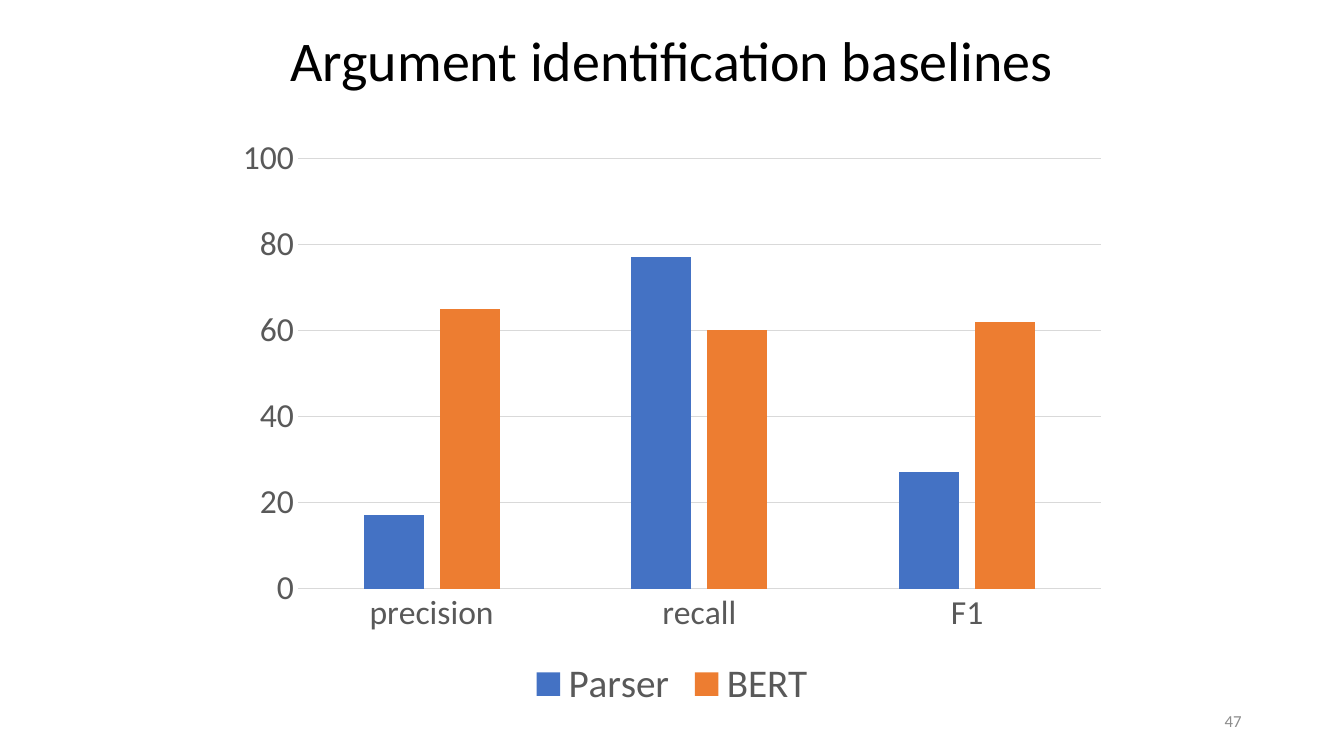
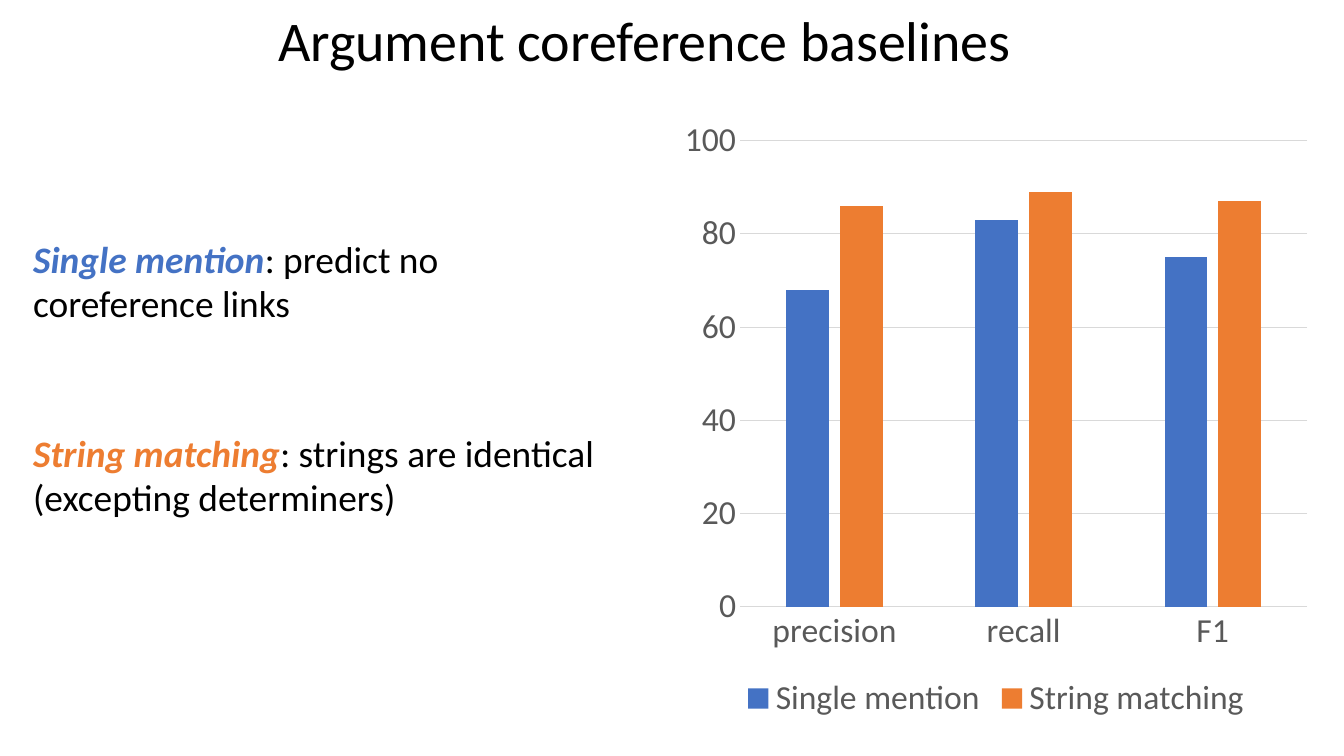
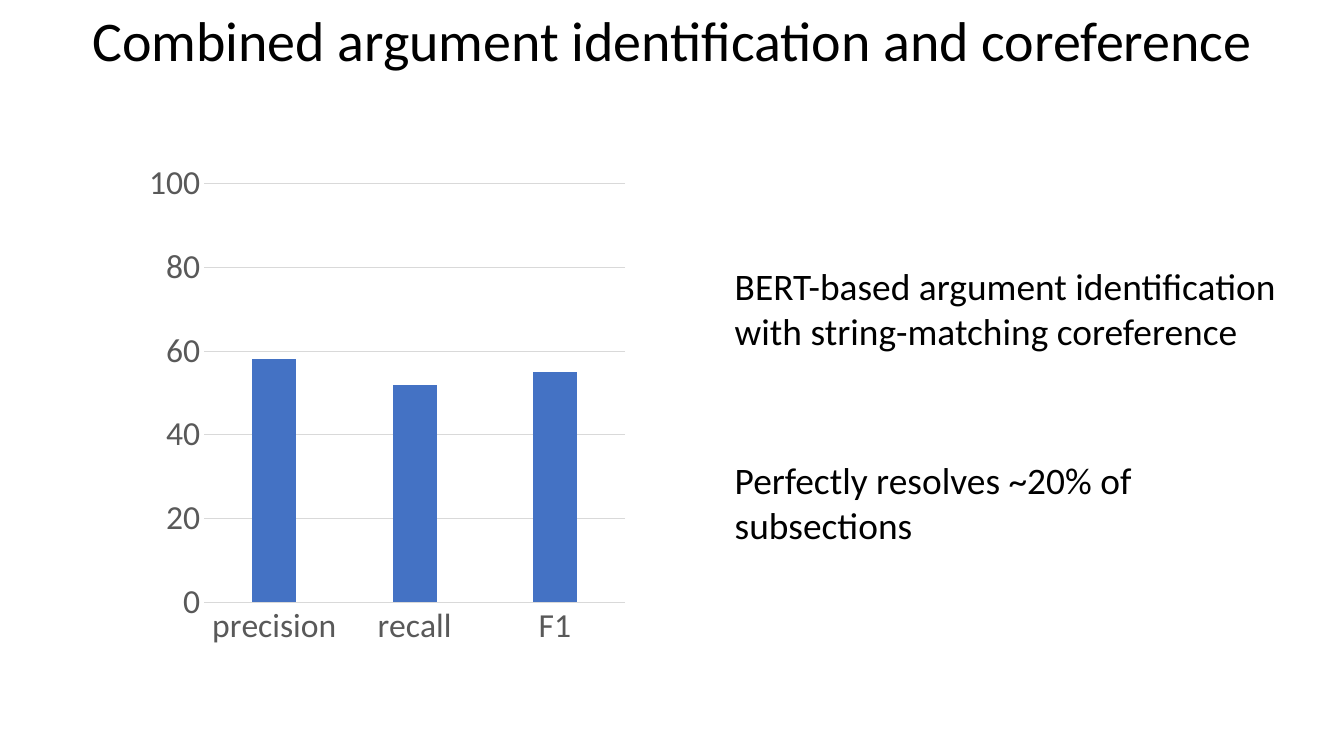
from dataclasses import dataclass

from pptx import Presentation
from pptx.chart.data import CategoryChartData
from pptx.dml.color import RGBColor
from pptx.enum.chart import XL_CHART_TYPE, XL_LEGEND_POSITION, XL_TICK_MARK
from pptx.enum.text import MSO_ANCHOR, MSO_AUTO_SIZE, PP_ALIGN
from pptx.util import Pt

LEFT, CENTER, RIGHT = PP_ALIGN.LEFT, PP_ALIGN.CENTER, PP_ALIGN.RIGHT
TOP, MIDDLE = MSO_ANCHOR.TOP, MSO_ANCHOR.MIDDLE
NO_FIT = MSO_AUTO_SIZE.NONE
COLUMNS = XL_CHART_TYPE.COLUMN_CLUSTERED
BOTTOM = XL_LEGEND_POSITION.BOTTOM
NO_TICK = XL_TICK_MARK.NONE
TITLE_ONLY = 5


@dataclass(frozen=True)
class Theme:
    font: str = "Calibri"
    text: str = "000000"
    label: str = "595959"
    grid: str = "D9D9D9"
    number: str = "8C8C8C"
    blue: str = "4472C4"
    orange: str = "ED7D31"
    title_size: float = 40
    body_size: float = 26.7
    axis_size: float = 24
    legend_size: float = 28
    number_size: float = 12
    chart_size: float = 10
    body_gap: float = 74.5


THEME = Theme()
METRICS = ("precision", "recall", "F1")


def set_font(font, size, color, **values):
    values = {"name": THEME.font, "size": Pt(size), **values}
    for key, value in values.items():
        setattr(font, key, value)
    font.color.rgb = RGBColor.from_string(color)


class Deck:
    """Holds the presentation, its style and the current slide."""

    def __init__(self, width, height):
        self.prs = Presentation()
        self.prs.slide_width, self.prs.slide_height = Pt(width), Pt(height)
        self.s = None

    def frame(self, sp, anchor, inset=(7.2, 3.6)):
        tf = sp.text_frame
        x, y = (Pt(v) for v in inset)
        values = {"word_wrap": True, "auto_size": NO_FIT,
                  "vertical_anchor": anchor, "margin_left": x,
                  "margin_right": x, "margin_top": y, "margin_bottom": y}
        for key, value in values.items():
            setattr(tf, key, value)
        return tf

    def slide(self, title, box, align=CENTER):
        self.s = self.prs.slides.add_slide(self.prs.slide_layouts[TITLE_ONLY])
        sp = self.s.shapes.title
        sp.left, sp.top, sp.width, sp.height = (Pt(v) for v in box)
        p = self.frame(sp, TOP).paragraphs[0]
        p.alignment = align
        r = p.add_run()
        r.text = title
        set_font(r.font, THEME.title_size, THEME.text)

    def text(self, box, paragraphs, anchor=TOP, inset=(7.2, 3.6)):
        """Each paragraph is a (coloured term, its colour, plain text) triple."""
        sp = self.s.shapes.add_textbox(*(Pt(v) for v in box))
        tf = self.frame(sp, anchor, inset)
        for i, (term, color, plain) in enumerate(paragraphs):
            p = tf.add_paragraph() if i else tf.paragraphs[0]
            if i:
                p.space_before = Pt(THEME.body_gap)
            if term:
                r = p.add_run()
                r.text = term
                set_font(r.font, THEME.body_size, color, bold=True, italic=True)
            r = p.add_run()
            r.text = plain
            set_font(r.font, THEME.body_size, THEME.text)

    def number(self, value):
        sp = self.s.shapes.add_textbox(Pt(678), Pt(500.4), Pt(216), Pt(28.8))
        p = self.frame(sp, MIDDLE).paragraphs[0]
        p.alignment = RIGHT
        r = p.add_run()
        r.text = value
        set_font(r.font, THEME.number_size, THEME.number)

    def rule(self, line):
        line.color.rgb = RGBColor.from_string(THEME.grid)
        line.width = Pt(0.75)

    def chart(self, box, series, legend_size=None):
        data = CategoryChartData(number_format="0")
        data.categories = METRICS
        for name, values in series.items():
            data.add_series(name, values)
        chart = self.s.shapes.add_chart(
            COLUMNS, *(Pt(v) for v in box), data).chart
        chart.has_title = False
        set_font(chart.font, THEME.chart_size, THEME.text)

        # Bars
        plot = chart.plots[0]
        plot.gap_width, plot.overlap = 219, -27
        plot.vary_by_categories = False
        for bars, color in zip(plot.series, (THEME.blue, THEME.orange)):
            bars.format.fill.solid()
            bars.format.fill.fore_color.rgb = RGBColor.from_string(color)

        # Axes
        for axis in (chart.category_axis, chart.value_axis):
            axis.major_tick_mark = axis.minor_tick_mark = NO_TICK
            set_font(axis.tick_labels.font, THEME.axis_size, THEME.label)
        self.rule(chart.category_axis.format.line)
        axis = chart.value_axis
        axis.minimum_scale, axis.maximum_scale, axis.major_unit = 0, 100, 20
        axis.format.line.fill.background()
        self.rule(axis.major_gridlines.format.line)

        # Legend
        chart.has_legend = legend_size is not None
        if chart.has_legend:
            chart.legend.position = BOTTOM
            chart.legend.include_in_layout = False
            set_font(chart.legend.font, legend_size, THEME.label)


def main():
    deck = Deck(960, 540)

    # Argument identification
    deck.slide("Argument identification baselines", (184.3, 14.4, 591, 55.4))
    deck.number("47")
    deck.chart((160.6, 90, 638.6, 421.2),
               {"Parser": (17, 77, 27), "BERT": (65, 60, 62)},
               THEME.legend_size)

    # Argument coreference
    deck.slide("Argument coreference baselines", (191.5, 0, 576.7, 55.4), LEFT)
    deck.chart((480, 77, 463, 441.4),
               {"Single mention": (68, 83, 75), "String matching": (86, 89, 87)},
               THEME.axis_size)
    deck.text((16.6, 77.8, 436.3, 383.8), [
        ("Single mention", THEME.blue, ": predict no coreference links"),
        ("String matching", THEME.orange,
         ": strings are identical (excepting determiners)"),
    ], MIDDLE, (7.2, 7.2))

    # Combined task
    deck.slide("Combined argument identification and coreference",
               (24, 0, 912, 55.4))
    deck.text((517.7, 184.3, 418.3, 211), [
        (None, None, "BERT-based argument identification "
                     "with string-matching coreference"),
        (None, None, "Perfectly resolves ~20% of subsections"),
    ])
    deck.chart((99.4, 109.4, 354.2, 360), {"Series 1": (58, 52, 55)})

    deck.prs.save("out.pptx")


if __name__ == "__main__":
    main()
